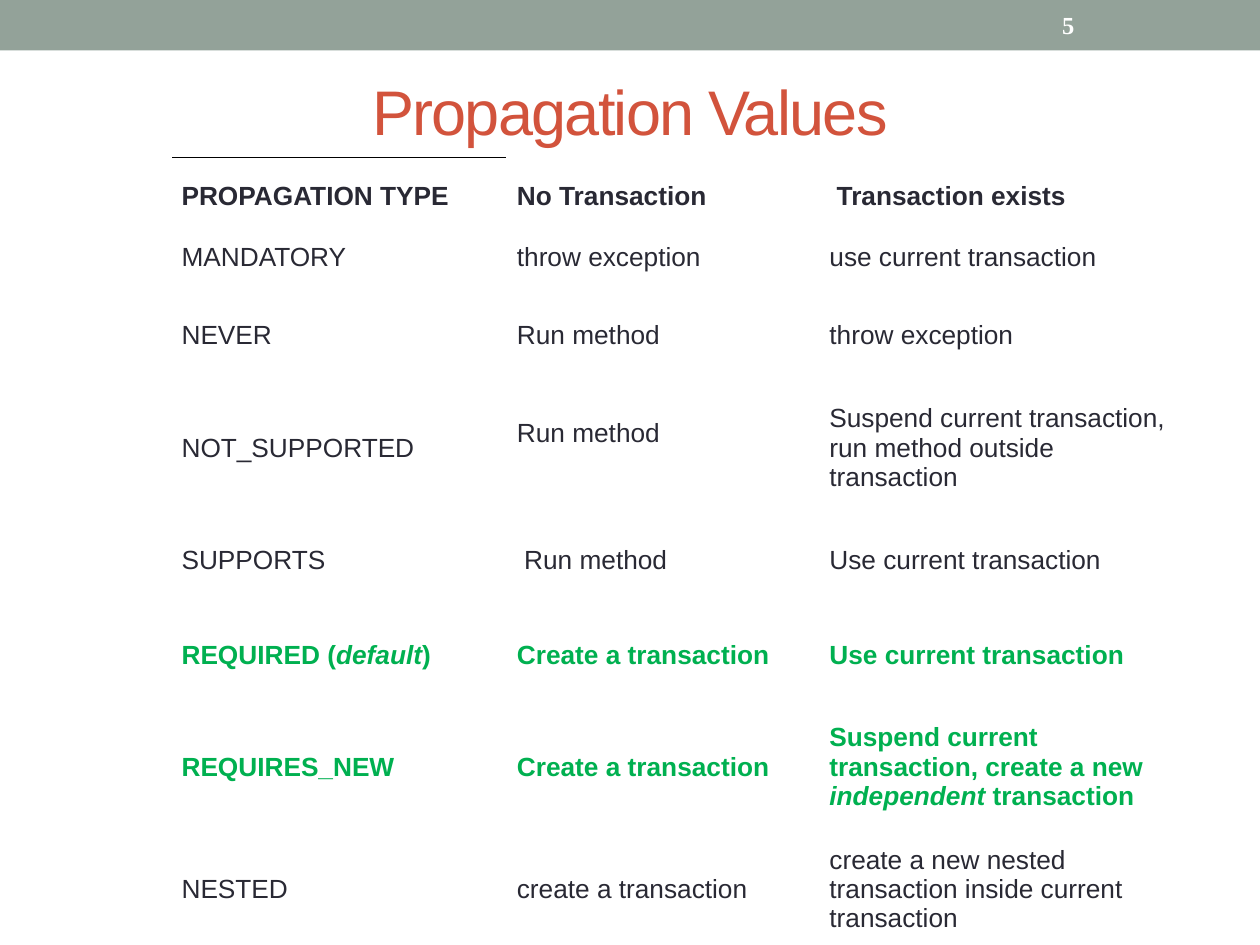
from lxml import etree
from pptx import Presentation
from pptx import util as u
from pptx.dml.color import RGBColor
from pptx.enum import shapes, text
from pptx.oxml.ns import qn

COLORS = {"band": "93A299", "title": "D2533C", "body": "292934",
          "highlight": "00B050", "white": "FFFFFF", "rule": "000000"}
COLUMN_WIDTHS = [6.76, 6.3, 7.2]
ROW_HEIGHTS = [1.57, 0.9, 2.26, 2.26, 2.26, 1.57, 2.95, 1.98]
ROWS = [
    ["PROPAGATION TYPE", "No Transaction", " Transaction exists"],
    ["MANDATORY", "throw exception", "use current transaction"],
    ["NEVER", "Run method", "throw exception"],
    ["NOT_SUPPORTED", "Run method",
     "Suspend current transaction, run method outside transaction"],
    ["SUPPORTS", " Run method", "Use current transaction"],
    ["REQUIRED (*default*)", "Create a transaction", "Use current transaction"],
    ["REQUIRES_NEW", "Create a transaction",
     "Suspend current transaction, create a new *independent* transaction"],
    ["NESTED", "create a transaction",
     "create a new nested transaction inside current transaction"],
]
HIGHLIGHTED = {"REQUIRED (*default*)", "REQUIRES_NEW"}


def write(paragraph, content, size=15, font="Arial", color="body", bold=False, spacing=0):
    for position, part in enumerate(content.split("*")):
        run = paragraph.add_run()
        run.text = part
        run.font.name = font
        run.font.size = u.Pt(size)
        run.font.bold = bold
        run.font.italic = position % 2 == 1
        run.font.color.rgb = RGBColor.from_string(COLORS[color])
        if spacing:
            run.font._element.set("spc", str(spacing * 100))


presentation = Presentation()
presentation.slide_width = u.Cm(25.4)
presentation.slide_height = u.Cm(19.05)
slide = presentation.slides.add_slide(presentation.slide_layouts[5])

band = slide.shapes.add_shape(shapes.MSO_SHAPE.RECTANGLE, 0, 0, u.Cm(25.4), u.Cm(1.02))
band.shadow.inherit = False
band.fill.solid()
band.fill.fore_color.rgb = RGBColor.from_string(COLORS["band"])
band.line.fill.background()

title = slide.shapes.title
title.left, title.top, title.width, title.height = u.Cm(1.27), u.Cm(1.47), u.Cm(22.86), u.Cm(2.74)
title.text_frame.auto_size = text.MSO_AUTO_SIZE.NONE
title.text_frame.vertical_anchor = text.MSO_ANCHOR.TOP
title.text_frame.margin_top = 0
title.text_frame.paragraphs[0].alignment = text.PP_ALIGN.CENTER
write(title.text_frame.paragraphs[0], "Propagation Values", size=36, color="title", spacing=-1)

table = slide.shapes.add_table(len(ROWS), len(COLUMN_WIDTHS), u.Cm(3.46), u.Cm(3.17),
                               u.Cm(sum(COLUMN_WIDTHS)), u.Cm(sum(ROW_HEIGHTS))).table
table.horz_banding = False
for column, width in zip(table.columns, COLUMN_WIDTHS):
    column.width = u.Cm(width)
for row, height, contents in zip(table.rows, ROW_HEIGHTS, ROWS):
    row.height = u.Cm(height)
    highlighted = contents[0] in HIGHLIGHTED
    for cell, content in zip(row.cells, contents):
        cell.margin_left = cell.margin_right = u.Cm(0.2)
        cell.margin_top = cell.margin_bottom = u.Cm(0.1)
        cell.vertical_anchor = text.MSO_ANCHOR.MIDDLE
        cell.fill.background()
        write(cell.text_frame.paragraphs[0], content,
              color="highlight" if highlighted else "body",
              bold=highlighted or contents is ROWS[0])
table.cell(3, 1).margin_bottom = u.Cm(0.69)

border = etree.Element(qn("a:lnT"), w=str(u.Pt(0.75)))
border_fill = etree.SubElement(border, qn("a:solidFill"))
etree.SubElement(border_fill, qn("a:srgbClr"), val=COLORS["rule"])
table.cell(0, 0)._tc.get_or_add_tcPr().insert(0, border)

number = slide.shapes.add_textbox(u.Cm(21.16), u.Cm(0.05), u.Cm(2.97), u.Cm(0.91))
number.text_frame.word_wrap = True
number.text_frame.vertical_anchor = text.MSO_ANCHOR.MIDDLE
write(number.text_frame.paragraphs[0], "5", size=14, font="Times New Roman",
      color="white", bold=True)

presentation.save("out.pptx")
